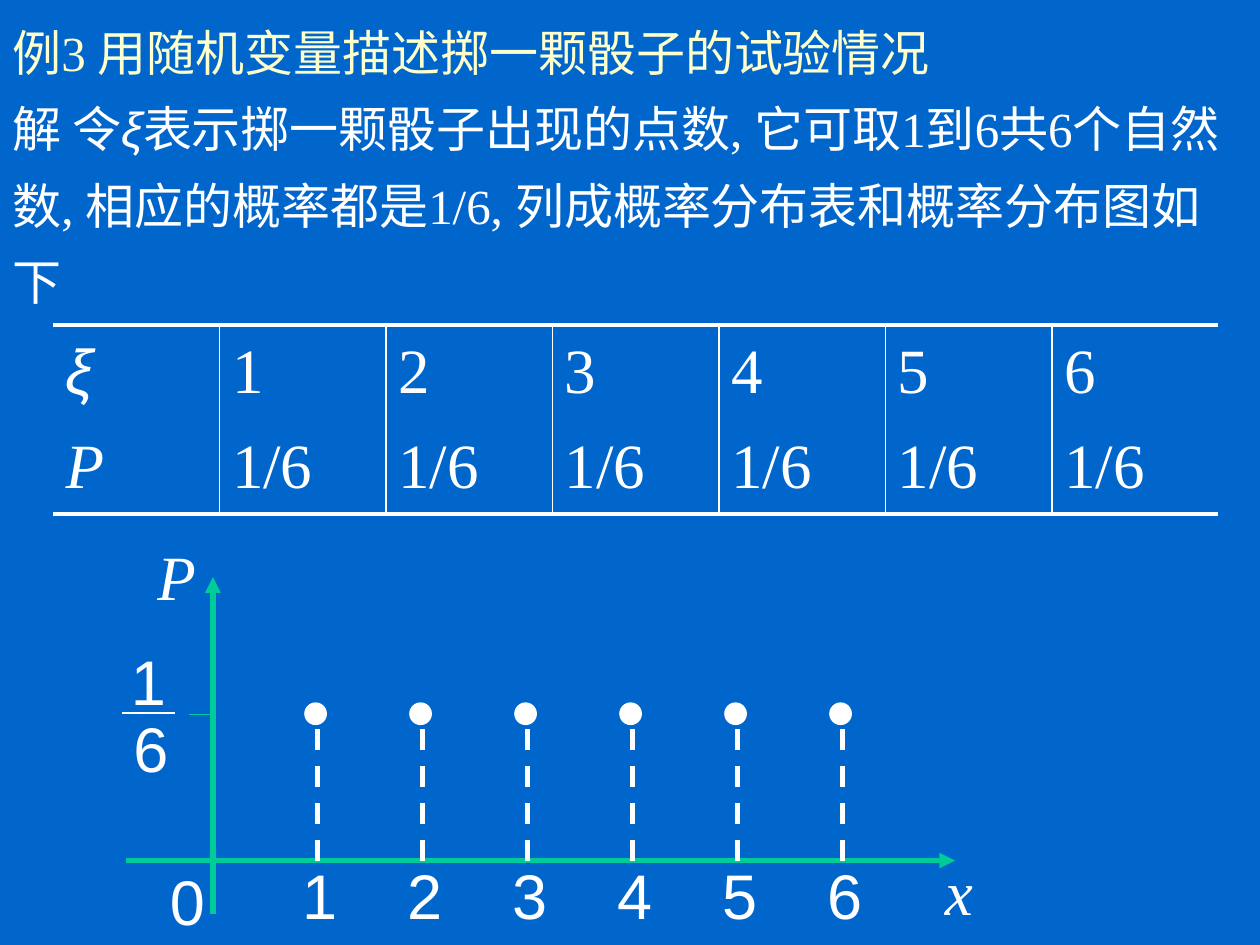
from dataclasses import dataclass

from lxml import etree
from pptx import Presentation, util as u
from pptx.dml.color import RGBColor
from pptx.enum import dml, shapes, text
from pptx.oxml import ns

EXAMPLE = "例3 用随机变量描述掷一颗骰子的试验情况"
SOLUTION = [  # text, is it a variable
    ("解 令", False),
    ("ξ", True),
    ("表示掷一颗骰子出现的点数, 它可取1到6共6个自然数, "
     "相应的概率都是1/6, 列成概率分布表和概率分布图如下", False),
]
OUTCOMES = ["1", "2", "3", "4", "5", "6"]
DISTRIBUTION = [["ξ"] + OUTCOMES, ["P"] + ["1/6"] * len(OUTCOMES)]


@dataclass(frozen=True)
class Theme:
    background: RGBColor = RGBColor(0x00, 0x66, 0xCC)
    heading: RGBColor = RGBColor(0xFF, 0xFF, 0xCC)
    ink: RGBColor = RGBColor(0xFF, 0xFF, 0xFF)
    axis: RGBColor = RGBColor(0x00, 0xCC, 0x99)
    serif: str = "Times New Roman"
    sans: str = "Arial"
    body: int = 28
    figure: int = 36
    hairline: float = 0.75
    inner_rule: float = 1
    outer_rule: float = 2.25
    heavy: float = 3


THEME = Theme()

# Chart geometry in inches
AXIS_Y, AXIS_X = 6.83, 1.69
FIRST_STEM, STEM_TOP, STEP = 2.52, 5.75, 5 / 6
DOT, DOT_LEFT, DOT_TOP = 0.17, 2.42, 5.58
CHART_LABELS = [  # text, left, top, width, font, italic
    ("6", 0.96, 5.58, 0.45, THEME.sans, False),
    ("1", 0.94, 5.05, 0.45, THEME.sans, False),
    ("P", 1.15, 4.22, 0.51, THEME.serif, True),
    ("0", 1.25, 6.8, 0.45, THEME.sans, False),
    ("x", 7.4, 6.72, 0.42, THEME.serif, True),
] + [
    (outcome, 2.3 + i * STEP, 6.75, 0.45, THEME.sans, False)
    for i, outcome in enumerate(OUTCOMES)
]


def style(run, size, font, color=THEME.ink, italic=False):
    run.font.size = u.Pt(size)
    run.font.name = font
    run.font.color.rgb = color
    run.font.italic = italic


def add_problem(slide):
    problem = slide.shapes.add_textbox(0, 0, u.Inches(10), u.Inches(2.5))
    frame = problem.text_frame
    frame.word_wrap = True
    frame.vertical_anchor = text.MSO_ANCHOR.MIDDLE
    paragraph = frame.paragraphs[0]
    paragraph.line_spacing = 1.3
    heading = paragraph.add_run()
    heading.text = EXAMPLE
    style(heading, THEME.body, THEME.serif, THEME.heading)
    paragraph.add_line_break()
    for words, variable in SOLUTION:
        run = paragraph.add_run()
        run.text = words
        font = THEME.sans if variable else THEME.serif
        style(run, THEME.body, font, italic=variable)


def set_borders(cell, widths):
    """Give the left, right, top and bottom borders; a width of 0 hides one."""
    properties = cell._tc.get_or_add_tcPr()
    for i, (side, width) in enumerate(zip("LRTB", widths)):
        border = etree.Element(ns.qn(f"a:ln{side}"), w=str(u.Pt(width)))
        if width:
            fill = etree.SubElement(border, ns.qn("a:solidFill"))
            etree.SubElement(fill, ns.qn("a:srgbClr"), val=str(THEME.ink))
        else:
            etree.SubElement(border, ns.qn("a:noFill"))
        properties.insert(i, border)


def add_distribution(slide):
    rows, columns = len(DISTRIBUTION), len(DISTRIBUTION[0])
    table = slide.shapes.add_table(
        rows, columns, u.Inches(0.42), u.Inches(2.58), u.Inches(9.25), u.Inches(1.5)
    ).table
    table.first_row = table.horz_banding = False
    for r, values in enumerate(DISTRIBUTION):
        for c, value in enumerate(values):
            cell = table.cell(r, c)
            cell.fill.background()
            cell.vertical_anchor = text.MSO_ANCHOR.MIDDLE
            cell.text_frame.text = value
            font = THEME.sans if value == "ξ" else THEME.serif
            style(cell.text_frame.paragraphs[0].runs[0], THEME.figure, font, italic=c == 0)
            set_borders(cell, (
                THEME.inner_rule if c > 0 else 0,
                THEME.inner_rule if c < columns - 1 else 0,
                THEME.outer_rule if r == 0 else 0,
                THEME.outer_rule if r == rows - 1 else 0,
            ))


def add_line(slide, start, end, color, width, dashed=False, arrow=False):
    line = slide.shapes.add_connector(
        shapes.MSO_CONNECTOR.STRAIGHT, *(u.Inches(v) for v in start + end)
    )
    line.line.color.rgb = color
    line.line.width = u.Pt(width)
    if dashed:
        line.line.dash_style = dml.MSO_LINE.DASH
    if arrow:
        etree.SubElement(line.line._get_or_add_ln(), ns.qn("a:tailEnd"), type="triangle")
    etree.SubElement(line._element.spPr, ns.qn("a:effectLst"))


def add_dot(slide, left):
    dot = slide.shapes.add_shape(
        shapes.MSO_SHAPE.OVAL, *(u.Inches(v) for v in (left, DOT_TOP, DOT, DOT))
    )
    dot.shadow.inherit = False
    dot.fill.solid()
    dot.fill.fore_color.rgb = THEME.ink
    dot.line.color.rgb = THEME.ink
    dot.line.width = u.Pt(THEME.hairline)


def add_label(slide, words, left, top, width, font, italic):
    label = slide.shapes.add_textbox(*(u.Inches(v) for v in (left, top, width, 0.7)))
    label.text_frame.word_wrap = False
    label.text_frame.text = words
    style(label.text_frame.paragraphs[0].runs[0], THEME.figure, font, italic=italic)


def add_chart_drawing(slide):
    add_line(slide, (1, AXIS_Y), (7.58, AXIS_Y), THEME.axis, THEME.heavy, arrow=True)
    add_line(slide, (AXIS_X, 7.25), (AXIS_X, 4.58), THEME.axis, THEME.heavy, arrow=True)
    for i in range(len(OUTCOMES)):
        stem = FIRST_STEM + i * STEP
        add_line(slide, (stem, AXIS_Y), (stem, STEM_TOP), THEME.ink, THEME.heavy, dashed=True)
        add_dot(slide, DOT_LEFT + i * STEP)
    add_line(slide, (1.5, 5.67), (1.67, 5.67), THEME.axis, THEME.hairline)
    add_line(slide, (0.97, 5.66), (1.39, 5.66), THEME.ink, THEME.hairline)
    for label in CHART_LABELS:
        add_label(slide, *label)


def main():
    deck = Presentation()
    deck.slide_width, deck.slide_height = u.Inches(10), u.Inches(7.5)
    slide = deck.slides.add_slide(deck.slide_layouts[6])
    slide.background.fill.solid()
    slide.background.fill.fore_color.rgb = THEME.background
    add_problem(slide)
    add_distribution(slide)
    add_chart_drawing(slide)
    deck.save("out.pptx")


if __name__ == "__main__":
    main()
